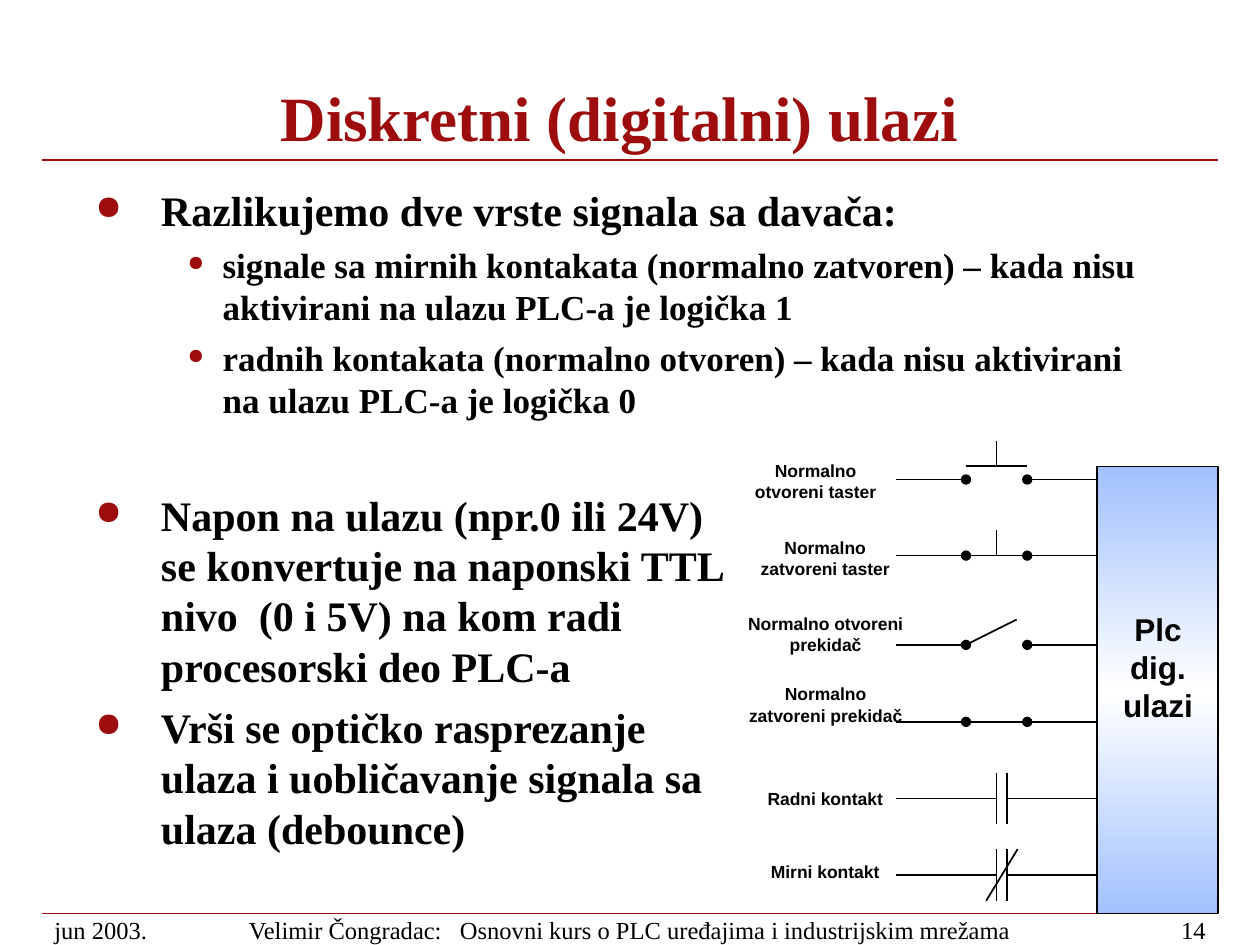
from lxml import etree
from pptx import Presentation
from pptx.dml.color import RGBColor
from pptx.enum.shapes import MSO_CONNECTOR, MSO_SHAPE
from pptx.enum.text import MSO_ANCHOR, PP_ALIGN
from pptx.oxml.ns import qn
from pptx.util import Pt

STRAIGHT, RECTANGLE = MSO_CONNECTOR.STRAIGHT, MSO_SHAPE.RECTANGLE
TOP, MIDDLE, BOTTOM = MSO_ANCHOR.TOP, MSO_ANCHOR.MIDDLE, MSO_ANCHOR.BOTTOM
LEFT, CENTER, RIGHT = PP_ALIGN.LEFT, PP_ALIGN.CENTER, PP_ALIGN.RIGHT

COLORS = {"red": "9D0D0D", "black": "000000", "blue": "A2C1FE", "white": "FFFFFF"}
SERIF, SANS = "Times New Roman", "Arial"

# Bullet levels: text size, left margin, hanging indent, space before, bullet percent
LEVELS = [(24, 37.5, 37.5, 6, 80), (20, 72.75, 20, 5, 60)]

# Horizontal stops of the contact symbols
WIRE_START, CONTACT_A, CONTACT_B, WIRE_END = 512, 552, 587, 633
PLATE_A, PLATE_B = 569.5, 575.5

UPPER_POINTS = [
    (0, "Razlikujemo dve vrste signala sa davača:"),
    (1, "signale sa mirnih kontakata (normalno zatvoren) – kada nisu aktivirani "
        "na ulazu PLC-a je logička 1"),
    (1, "radnih kontakata (normalno otvoren) – kada nisu aktivirani na ulazu "
        "PLC-a je logička 0"),
]
LOWER_POINTS = [
    (0, "Napon na ulazu (npr.0 ili 24V) se konvertuje na naponski TTL nivo  "
        "(0 i 5V) na kom radi procesorski deo PLC-a"),
    (0, "Vrši se optičko rasprezanje ulaza i uobličavanje signala sa ulaza (debounce)"),
]


def color(name):
    return RGBColor.from_string(COLORS[name])


def write(para, text, size, font=SERIF, bold=True, tint="black"):
    span = para.add_run()
    span.text = text
    for key, value in {"size": Pt(size), "name": font, "bold": bold}.items():
        setattr(span.font, key, value)
    span.font.color.rgb = color(tint)


def set_frame(frame, anchor=TOP, side=7.2):
    values = {"word_wrap": True, "vertical_anchor": anchor,
              "margin_left": Pt(side), "margin_right": Pt(side),
              "margin_top": Pt(3.6), "margin_bottom": Pt(3.6)}
    for key, value in values.items():
        setattr(frame, key, value)


def add_text(slide, area, text, size, align=CENTER, anchor=TOP, **style):
    box = slide.shapes.add_textbox(*map(Pt, area))
    set_frame(box.text_frame, anchor)
    para = box.text_frame.paragraphs[0]
    para.alignment = align
    write(para, text, size, **style)


def add_title(slide, text):
    title = slide.shapes.title
    for key, value in zip(("left", "top", "width", "height"), (54, 33, 600, 58.5)):
        setattr(title, key, Pt(value))
    set_frame(title.text_frame, BOTTOM, 6.5)
    para = title.text_frame.paragraphs[0]
    para.alignment, para.line_spacing = CENTER, 0.8
    write(para, text, 36, tint="red")


def set_bullet(para, margin, hanging, percent):
    props = para._p.get_or_add_pPr()
    props.set("marL", str(Pt(margin)))
    props.set("indent", str(-Pt(hanging)))
    tint = etree.SubElement(props, qn("a:buClr"))
    etree.SubElement(tint, qn("a:srgbClr"), val=COLORS["red"])
    etree.SubElement(props, qn("a:buSzPct"), val=str(percent * 1000))
    etree.SubElement(props, qn("a:buChar"), char="●")


def add_bullets(slide, area, points):
    frame = slide.shapes.add_textbox(*map(Pt, area)).text_frame
    set_frame(frame, side=6.5)
    for index, (level, text) in enumerate(points):
        para = frame.add_paragraph() if index else frame.paragraphs[0]
        size, margin, hanging, before, percent = LEVELS[level]
        para.level = level
        set_bullet(para, margin, hanging, percent)
        if index:
            para.space_before = Pt(before)
        write(para, text, size)


def add_line(slide, x1, y1, x2, y2, tint="black", dot=None):
    line = slide.shapes.add_connector(STRAIGHT, *map(Pt, (x1, y1, x2, y2)))
    line.line.color.rgb = color(tint)
    line.line.width = Pt(1)
    if dot:
        etree.SubElement(line.line._get_or_add_ln(), qn(f"a:{dot}"), type="oval")
    etree.SubElement(line._element.spPr, qn("a:effectLst"))


def add_terminals(slide, y):
    add_line(slide, WIRE_START, y, CONTACT_A, y, dot="tailEnd")
    add_line(slide, CONTACT_B, y, WIRE_END, y, dot="headEnd")


def add_button(slide, y, lift):
    add_terminals(slide, y)
    add_line(slide, CONTACT_A, y - lift, CONTACT_B, y - lift)
    add_line(slide, PLATE_A, y - lift - 14.5, PLATE_A, y - lift)


def add_switch(slide, y, tip_x, lift):
    add_terminals(slide, y)
    add_line(slide, CONTACT_A, y, tip_x, y - lift)


def add_ladder_contact(slide, y, closed):
    add_line(slide, WIRE_START, y, PLATE_A, y)
    add_line(slide, PLATE_B, y, WIRE_END, y)
    for x in (PLATE_A, PLATE_B):
        add_line(slide, x, y - 14.75, x, y + 14.75)
    if closed:
        add_line(slide, PLATE_A - 6, y + 14.75, PLATE_B + 6, y - 14.75)


def add_input_block(slide):
    block = slide.shapes.add_shape(RECTANGLE, *map(Pt, (627, 266.5, 69, 255.5)))
    block.shadow.inherit = False
    block.line.color.rgb = color("black")
    block.line.width = Pt(1)
    block.fill.gradient()
    block.fill.gradient_angle = 90
    stops = block.fill._fill._gradFill.find(qn("a:gsLst"))
    for stop in list(stops):
        stops.remove(stop)
    for position, name in ((0, "blue"), (50, "white"), (100, "blue")):
        stop = etree.SubElement(stops, qn("a:gs"), pos=str(position * 1000))
        etree.SubElement(stop, qn("a:srgbClr"), val=COLORS[name])
    add_text(slide, (633, 345, 57.5, 72), "Plc dig. ulazi", 18, font=SANS)


def main():
    deck = Presentation()
    deck.slide_width, deck.slide_height = Pt(720), Pt(540)
    slide = deck.slides.add_slide(deck.slide_layouts[5])

    # Rules, title and footer
    for y in (522, 91.5):
        add_line(slide, 24, y, 696, y, "red")
    add_title(slide, "Diskretni (digitalni) ulazi")
    footer = [
        (24, 78, "jun 2003.", LEFT),
        (102, 516, "Velimir Čongradac:   Osnovni kurs o PLC uređajima i "
                   "industrijskim mrežama", CENTER),
        (624, 72, "14", RIGHT),
    ]
    for left, width, text, align in footer:
        add_text(slide, (left, 522, width, 18), text, 14, align, MIDDLE, bold=False)

    # Bullet text
    add_bullets(slide, (48, 102, 612, 180), UPPER_POINTS)
    add_bullets(slide, (48, 276, 372, 246), LOWER_POINTS)

    # Contact symbols, wired behind the input block
    add_button(slide, 274, 7.5)
    add_button(slide, 317.5, 0)
    add_switch(slide, 368.5, 581, 14.5)
    add_switch(slide, 412.5, CONTACT_B, 0)
    add_ladder_contact(slide, 456.25, closed=False)
    add_ladder_contact(slide, 500, closed=True)
    add_input_block(slide)

    # Contact labels
    labels = [
        (420, 259.5, 92, "Normalno otvoreni taster"),
        (425.5, 303.5, 92, "Normalno zatvoreni taster"),
        (420, 347, 103.5, "Normalno otvoreni prekidač"),
        (420, 387, 103.5, "Normalno zatvoreni prekidač"),
        (425.5, 446.5, 92, "Radni kontakt"),
        (425.5, 488.5, 92, "Mirni kontakt"),
    ]
    for left, top, width, text in labels:
        height = 19.5 if "kontakt" in text else 31.5
        add_text(slide, (left, top, width, height), text, 10, font=SANS)

    deck.save("out.pptx")


if __name__ == "__main__":
    main()
